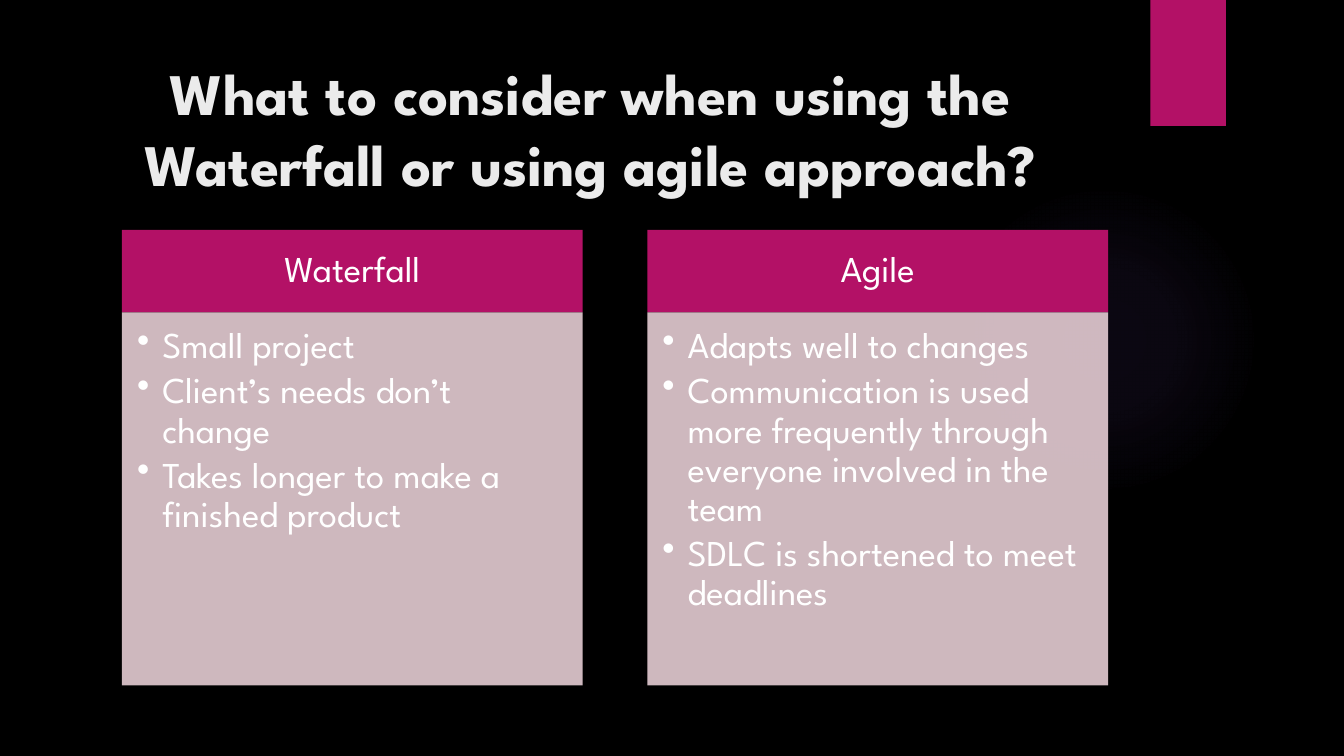
"""Build a slide comparing when to use the Waterfall and Agile approaches."""
from lxml import etree
from pptx import Presentation
from pptx.dml.color import RGBColor
from pptx.enum.shapes import MSO_SHAPE
from pptx.enum.text import MSO_ANCHOR, PP_ALIGN
from pptx.oxml import parse_xml
from pptx.oxml.ns import nsdecls, qn
from pptx.util import Inches, Pt

FONT = "League Spartan"
MAGENTA = "B31166"
WHITE = "FFFFFF"


def add_panel(kind, left, top, width, height, color):
    panel = slide.shapes.add_shape(
        kind, Inches(left), Inches(top), Inches(width), Inches(height))
    panel.shadow.inherit = False
    panel.fill.solid()
    panel.fill.fore_color.rgb = RGBColor.from_string(color)
    panel.line.fill.background()
    return panel


def write_text(frame, lines, size, color, margins, anchor, align):
    frame.word_wrap = True
    frame.vertical_anchor = anchor
    (frame.margin_left, frame.margin_top,
     frame.margin_right, frame.margin_bottom) = map(Inches, margins)
    frame.text = "\n".join(lines)
    for paragraph in frame.paragraphs:
        paragraph.alignment = align
        for run in paragraph.runs:
            run.font.name = FONT
            run.font.size = Pt(size)
            run.font.color.rgb = RGBColor.from_string(color)


prs = Presentation()
prs.slide_width = Inches(13.33)
prs.slide_height = Inches(7.5)
slide = prs.slides.add_slide(prs.slide_layouts[6])
slide.background.fill.solid()
slide.background.fill.fore_color.rgb = RGBColor.from_string("000000")

glow = add_panel(MSO_SHAPE.OVAL, 9.41, 1.83, 3.08, 3.08, "9B6BF2")
glow_stops = "".join(
    f'<a:gs pos="{position * 1000}"><a:srgbClr val="9B6BF2">'
    f'<a:alpha val="{alpha * 1000}"/></a:srgbClr></a:gs>'
    for position, alpha in [(0, 7), (36, 6), (69, 0)])
glow_fill = parse_xml(
    f'<a:gradFill {nsdecls("a")}><a:gsLst>{glow_stops}</a:gsLst><a:path path="circle">'
    '<a:fillToRect l="50000" t="50000" r="50000" b="50000"/></a:path></a:gradFill>')
glow_properties = glow.element.spPr
glow_properties.replace(glow_properties.find(qn("a:solidFill")), glow_fill)

add_panel(MSO_SHAPE.RECTANGLE, 11.41, 0, 0.75, 1.25, MAGENTA)

title = slide.shapes.add_textbox(Inches(0.71), Inches(0.5), Inches(10.29), Inches(1.53))
write_text(title.text_frame,
           ["What to consider when using the Waterfall or using agile approach?"],
           42, "EBEBEB", (0.1, 0.05, 0.1, 0.05), MSO_ANCHOR.MIDDLE, PP_ALIGN.CENTER)
title.text_frame.paragraphs[0].runs[0].font.bold = True

approaches = {
    "Waterfall": [
        "Small project",
        "Client’s needs don’t change",
        "Takes longer to make a finished product",
    ],
    "Agile": [
        "Adapts well to changes",
        "Communication is used more frequently through everyone involved in the team",
        "SDLC is shortened to meet deadlines",
    ],
}
for column, (approach, considerations) in enumerate(approaches.items()):
    left = 1.21 + column * 5.21

    heading = add_panel(MSO_SHAPE.RECTANGLE, left, 2.28, 4.57, 0.82, MAGENTA)
    write_text(heading.text_frame, [approach], 26, WHITE,
               (0.2, 0.12, 0.2, 0.12), MSO_ANCHOR.MIDDLE, PP_ALIGN.CENTER)
    heading.text_frame.paragraphs[0].line_spacing = 0.9

    body = add_panel(MSO_SHAPE.RECTANGLE, left, 3.1, 4.57, 3.7, "E5CCD3")
    body_color = body.element.spPr.find(qn("a:solidFill"))[0]
    etree.SubElement(body_color, qn("a:alpha"), val="90000")
    write_text(body.text_frame, considerations, 26, WHITE,
               (0.15, 0.15, 0.2, 0.23), MSO_ANCHOR.TOP, PP_ALIGN.LEFT)
    for paragraph in body.text_frame.paragraphs:
        properties = paragraph._p.get_or_add_pPr()
        properties.set("marL", str(Inches(0.25)))
        properties.set("indent", str(Inches(-0.25)))
        etree.SubElement(properties, qn("a:buChar"), char="•")
        paragraph.line_spacing = 0.9
        paragraph.space_after = Pt(4)

prs.save("out.pptx")
